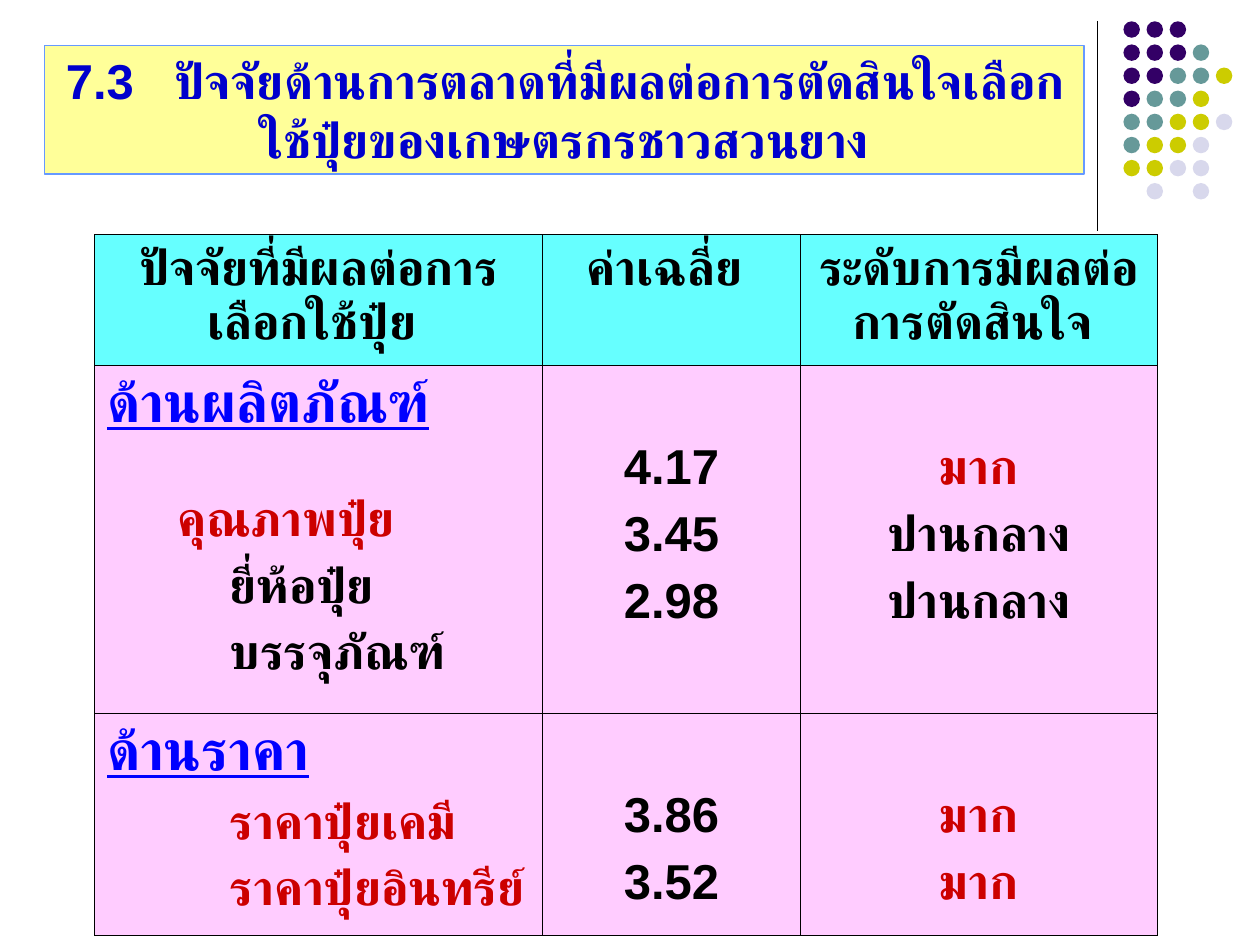
from lxml import etree
from pptx import Presentation
from pptx.dml.color import RGBColor
from pptx.enum.lang import MSO_LANGUAGE_ID
from pptx.enum.shapes import MSO_CONNECTOR, MSO_SHAPE
from pptx.enum.text import MSO_ANCHOR, PP_ALIGN
from pptx.oxml.ns import qn
from pptx.util import Pt

STRAIGHT = MSO_CONNECTOR.STRAIGHT
OVAL = MSO_SHAPE.OVAL
BOTTOM = MSO_ANCHOR.BOTTOM
LEFT, CENTER = PP_ALIGN.LEFT, PP_ALIGN.CENTER
THAI = MSO_LANGUAGE_ID.THAI

BLACK, RED, BLUE = "000000", "CC0000", "0000FF"
DOT_COLORS = {"P": "330066", "T": "669999", "Y": "CCCC00", "L": "D8D8EC"}
DOT_ROWS = ["PPP", "PPPT", "PPTTY", "PTTY", "TTYYL", "TYYL", "YYLL", " L L"]
PARAGRAPH_GAP = 7
FIRST_VALUE_TOP = 42.6  # values start one line below the group heading


def color(hex_code):
    return RGBColor.from_string(hex_code)


def write(paragraph, text, size=28, ink=BLACK, underline=False,
          align=CENTER, before=0, indent=0):
    paragraph.alignment = align
    paragraph.space_before = Pt(before)
    if indent:
        paragraph._p.get_or_add_pPr().set("marL", str(Pt(indent)))
    run = paragraph.add_run()
    run.text = text
    font = run.font
    font.name, font.size, font.bold = "Arial", Pt(size), True
    font.underline = underline
    font.language_id = THAI
    font.color.rgb = color(ink)
    etree.SubElement(run._r.get_or_add_rPr(), qn("a:cs"), typeface="Arial")


def heading(text):
    return text, dict(size=32, ink=BLUE, underline=True, align=LEFT)


def factor(text, ink=BLACK, indent=70, before=PARAGRAPH_GAP):
    return text, dict(ink=ink, indent=indent, before=before, align=LEFT)


def values(*entries):
    return [(text, dict(ink=RED if text == "มาก" else BLACK,
                        before=PARAGRAPH_GAP if i else 0))
            for i, text in enumerate(entries)]


class SlideBuilder:
    border_width = 0.45

    def __init__(self, slide):
        self.slide = slide

    def line(self, x1, y1, x2, y2):
        rule = self.slide.shapes.add_connector(
            STRAIGHT, Pt(x1), Pt(y1), Pt(x2), Pt(y2))
        rule.line.color.rgb = color(BLACK)
        rule.line.width = Pt(0.75)
        etree.SubElement(rule._element.spPr, qn("a:effectLst"))

    def dot(self, left, top, size, fill):
        circle = self.slide.shapes.add_shape(
            OVAL, Pt(left), Pt(top), Pt(size), Pt(size))
        circle.shadow.inherit = False
        circle.fill.solid()
        circle.fill.fore_color.rgb = color(fill)
        circle.line.fill.background()

    def title(self, text, left, top, width, height):
        banner = self.slide.shapes.add_textbox(
            Pt(left), Pt(top), Pt(width), Pt(height))
        banner.fill.solid()
        banner.fill.fore_color.rgb = color("FFFF99")
        banner.line.color.rgb = color("6699FF")
        banner.line.width = Pt(0.75)
        frame = banner.text_frame
        frame.word_wrap = True
        frame.vertical_anchor = BOTTOM
        write(frame.paragraphs[0], text, ink="0000CC")

    def border(self, cell):
        properties = cell._tc.get_or_add_tcPr()
        for i, side in enumerate(("a:lnL", "a:lnR", "a:lnT", "a:lnB")):
            edge = etree.Element(qn(side), w=str(Pt(self.border_width)))
            fill = etree.SubElement(edge, qn("a:solidFill"))
            etree.SubElement(fill, qn("a:srgbClr"), val=BLACK)
            properties.insert(i, edge)

    def cell(self, cell, paragraphs, fill, top_margin):
        cell.fill.solid()
        cell.fill.fore_color.rgb = color(fill)
        self.border(cell)
        cell.margin_top = Pt(top_margin)
        frame = cell.text_frame
        for i, (text, style) in enumerate(paragraphs):
            paragraph = frame.add_paragraph() if i else frame.paragraphs[0]
            write(paragraph, text, **style)

    def table(self, rows, left, top, widths, heights):
        grid = self.slide.shapes.add_table(
            len(heights), len(widths), Pt(left), Pt(top),
            Pt(sum(widths)), Pt(sum(heights))).table
        grid.first_row = grid.horz_banding = False
        for column, width in zip(grid.columns, widths):
            column.width = Pt(width)
        for r, (row, height) in enumerate(zip(rows, heights)):
            grid.rows[r].height = Pt(height)
            for c, paragraphs in enumerate(row):
                self.cell(grid.cell(r, c), paragraphs,
                          "FFCCFF" if r else "66FFFF",
                          FIRST_VALUE_TOP if r and c else 3.6)


def main():
    deck = Presentation()
    deck.slide_width, deck.slide_height = Pt(720), Pt(540)
    builder = SlideBuilder(deck.slides.add_slide(deck.slide_layouts[6]))

    # Corner decoration
    builder.line(627, 12, 627, 132)
    for r, dots in enumerate(DOT_ROWS):
        for c, key in enumerate(dots):
            if key in DOT_COLORS:
                builder.dot(642 + 13.2 * c, 12.2 + 13.2 * r, 9.4,
                            DOT_COLORS[key])

    # Title
    builder.title("7.3   ปัจจัยด้านการตลาดที่มีผลต่อการตัดสินใจเลือก"
                  "ใช้ปุ๋ยของเกษตรกรชาวสวนยาง", 25.4, 26, 594, 73.5)

    # Factors, their mean scores and levels of influence
    headers = ["ปัจจัยที่มีผลต่อการเลือกใช้ปุ๋ย ", "ค่าเฉลี่ย ",
               "ระดับการมีผลต่อการตัดสินใจ "]
    product = [heading("ด้านผลิตภัณฑ์"),
               factor("คุณภาพปุ๋ย", RED, indent=40, before=32.6),
               factor("ยี่ห้อปุ๋ย"),
               factor("บรรจุภัณฑ์")]
    price = [heading("ด้านราคา"),
             factor("ราคาปุ๋ยเคมี", RED),
             factor("ราคาปุ๋ยอินทรีย์", RED)]
    builder.table(
        [[[(text, {})] for text in headers],
         [product, values("4.17", "3.45", "2.98"),
          values("มาก", "ปานกลาง", "ปานกลาง")],
         [price, values("3.86", "3.52"), values("มาก", "มาก")]],
        54, 134, widths=[256, 147.5, 204], heights=[75, 198.7, 126.8])

    deck.save("out.pptx")


if __name__ == "__main__":
    main()
